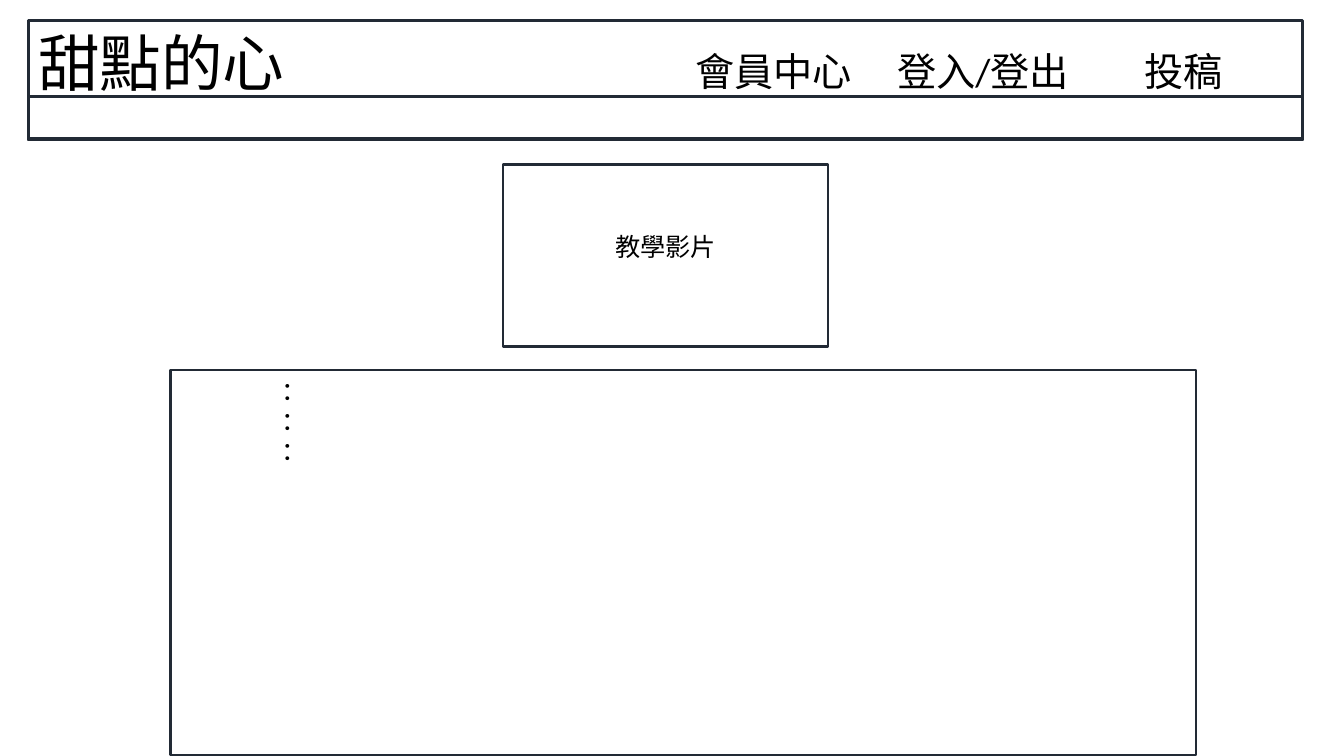
"""Builds a page wireframe for a dessert site: header, video and text area."""
from lxml.etree import SubElement
from pptx import Presentation
from pptx.dml.color import RGBColor
from pptx.enum.shapes import MSO_SHAPE
from pptx.enum.text import MSO_ANCHOR, PP_ALIGN
from pptx.oxml.ns import qn
from pptx.util import Inches, Pt

INK = RGBColor(0x22, 0x2A, 0x35)
BLACK = RGBColor(0, 0, 0)
WIDE, HIGH = 13.33, 7.5
LEFT, SPAN = 0.28, 12.64

HEAD = [[("甜點的心", 44), ("\t會員中心\t登入/登出\t投稿", 28)]]
VIDEO = [[("教學影片", 18)]]
BODY = [[("\t：", 18)]] * 3
STOPS = (6.52, 8.52, 10.97)

BOXES = [
    {"at": (LEFT, 0.2, SPAN, 1.18), "line": 2.25, "text": HEAD, "tabs": STOPS},
    {"at": (LEFT, 0.96, SPAN, 0.42), "line": 2.25},
    {"at": (4.99, 1.63, 3.22, 1.81), "line": 1.75, "text": VIDEO,
     "align": PP_ALIGN.CENTER, "top": 0.66},
    {"at": (1.69, 3.67, 10.17, 3.82), "line": 1.75, "text": BODY, "tabs": (1,)},
]


def add_tabs(para, stops):
    """Set left tab stops, in inches from the text edge."""
    tabs = SubElement(para._p.get_or_add_pPr(), qn("a:tabLst"))
    for stop in stops:
        SubElement(tabs, qn("a:tab"), pos=str(Inches(stop)), algn="l")


def add_box(slide, at, line, text=(), tabs=(), align=PP_ALIGN.LEFT, top=0.05):
    """Draw one outlined box with its paragraphs."""
    box = slide.shapes.add_shape(MSO_SHAPE.RECTANGLE, *map(Inches, at))
    box.shadow.inherit = False
    box.fill.background()
    box.line.color.rgb = INK
    box.line.width = Pt(line)
    frame = box.text_frame
    frame.word_wrap = True
    frame.vertical_anchor = MSO_ANCHOR.TOP
    frame.margin_top = Inches(top)
    for row, runs in enumerate(text):
        para = frame.add_paragraph() if row else frame.paragraphs[0]
        para.alignment = align
        if tabs:
            add_tabs(para, tabs)
        for words, size in runs:
            run = para.add_run()
            run.text = words
            run.font.size = Pt(size)
            run.font.name = "Calibri"
            run.font.color.rgb = BLACK


def main():
    """Build and save the slide."""
    deck = Presentation()
    deck.slide_width, deck.slide_height = Inches(WIDE), Inches(HIGH)
    slide = deck.slides.add_slide(deck.slide_layouts[6])
    for box in BOXES:
        add_box(slide, **box)
    deck.save("out.pptx")


if __name__ == "__main__":
    main()
